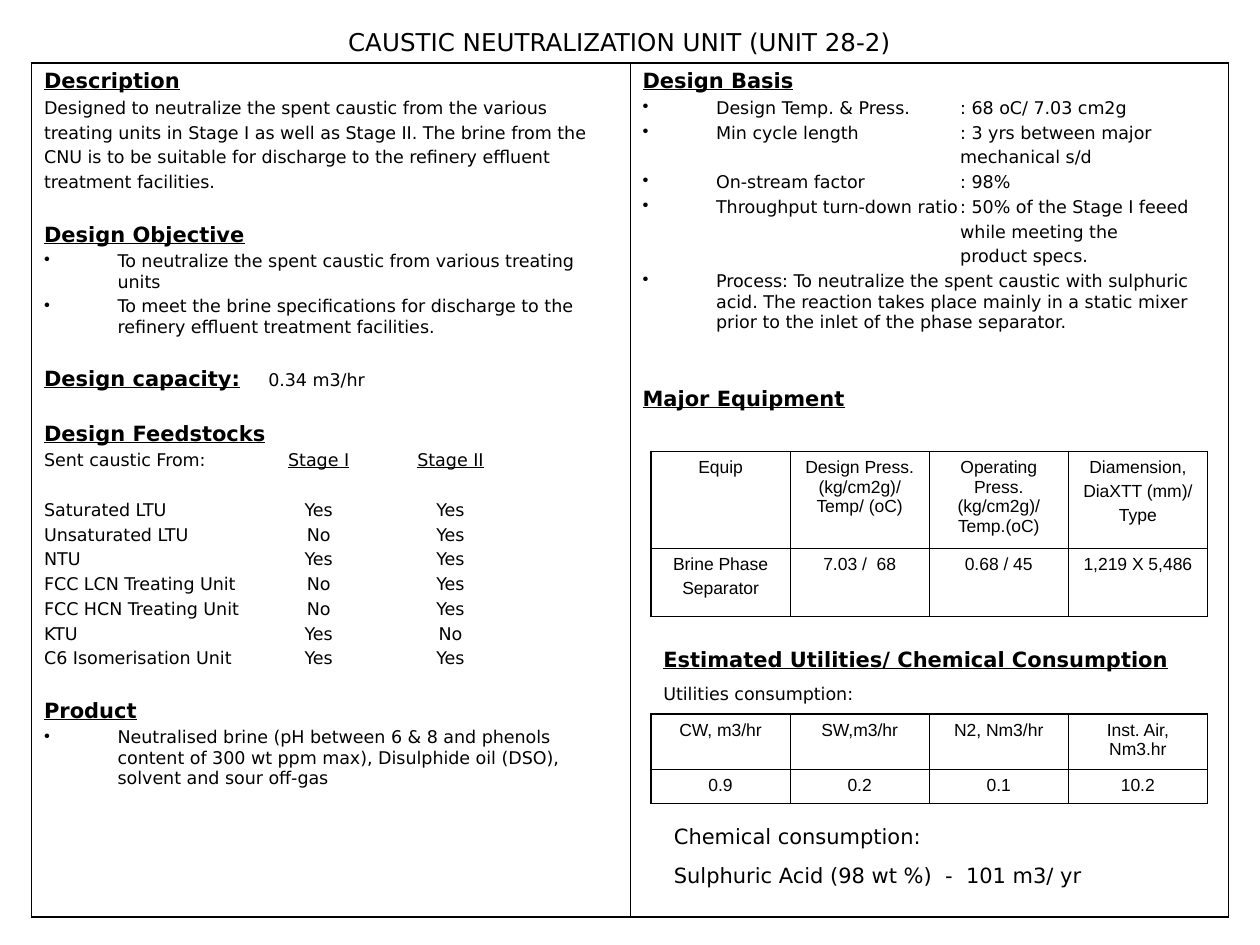
import pptx
import pptx.util
import pptx.dml.color
import pptx.enum.text
import pptx.oxml.ns
import lxml.etree

COLORS = {"ink": "000000"}
INK = pptx.dml.color.RGBColor.from_string(COLORS["ink"])
CENTER = pptx.enum.text.PP_ALIGN.CENTER
LEFT = pptx.enum.text.PP_ALIGN.LEFT

deck = pptx.Presentation()
deck.slide_width = pptx.util.Inches(10)
deck.slide_height = pptx.util.Inches(7.5)
slide = deck.slides.add_slide(deck.slide_layouts[6])
COL = deck.slide_width / 120
ROW = deck.slide_height / 90

PLAIN = {"size": pptx.util.Pt(10), "name": "DejaVu Sans", "bold": False, "underline": False}
HEADING = PLAIN | {"size": pptx.util.Pt(12), "bold": True, "underline": True}
UNDERLINED = PLAIN | {"underline": True}
TITLE = PLAIN | {"size": pptx.util.Pt(14)}
LARGE = PLAIN | {"size": pptx.util.Pt(12)}
GRID_TEXT = PLAIN | {"name": "Arial"}

BODY = {"before": 2.5}
SECTION = {"before": 17}
BULLET = {"before": 2.5, "bullet": True, "margin": 7, "indent": -7}
BASIS = {"before": 2.5, "bullet": True, "tabs": [(7, "l"), (30.25, "l")]}
BASIS_MORE = {"before": 2.5, "margin": 30.25}
FEED = {"before": 2.5, "tabs": [(26.15, "ctr"), (38.7, "ctr")]}


def write(frame, paragraphs, align=LEFT):
    frame.word_wrap = True
    for number, (layout, runs) in enumerate(paragraphs):
        paragraph = frame.paragraphs[0] if number == 0 else frame.add_paragraph()
        properties = paragraph._p.get_or_add_pPr()
        for key, attribute in {"margin": "marL", "indent": "indent"}.items():
            if key in layout:
                properties.set(attribute, str(round(layout[key] * COL)))
        if "bullet" in layout:
            lxml.etree.SubElement(properties, pptx.oxml.ns.qn("a:buChar"), char="•")
        if "tabs" in layout:
            stops = lxml.etree.SubElement(properties, pptx.oxml.ns.qn("a:tabLst"))
            for place, kind in layout["tabs"]:
                lxml.etree.SubElement(stops, pptx.oxml.ns.qn("a:tab"), pos=str(round(place * COL)), algn=kind)
        paragraph.alignment = align
        paragraph.space_before = pptx.util.Pt(layout["before"] if number else 0)
        for text, style in runs:
            run = paragraph.add_run()
            run.text = text
            for attribute, value in style.items():
                setattr(run.font, attribute, value)
            run.font.color.rgb = INK


def draw_table(left, top, width, heights, contents, align):
    rows, columns = len(contents), len(contents[0])
    grid = slide.shapes.add_table(rows, columns, round(left * COL), round(top * ROW),
                                  round(width * COL), round(sum(heights) * ROW)).table
    grid.first_row = grid.horz_banding = False
    for r, row in enumerate(contents):
        grid.rows[r].height = round(heights[r] * ROW)
        for c, paragraphs in enumerate(row):
            cell = grid.cell(r, c)
            write(cell.text_frame, paragraphs, align)
            cell.fill.background()
            outer = {"lnL": c == 0, "lnR": c == columns - 1, "lnT": r == 0, "lnB": r == rows - 1}
            for order, (side, is_outer) in enumerate(outer.items()):
                line = lxml.etree.Element(pptx.oxml.ns.qn("a:" + side),
                                          w=str(pptx.util.Pt(1.08 if is_outer else 0.45)))
                fill = lxml.etree.SubElement(line, pptx.oxml.ns.qn("a:solidFill"))
                lxml.etree.SubElement(fill, pptx.oxml.ns.qn("a:srgbClr"), val=COLORS["ink"])
                cell._tc.get_or_add_tcPr().insert(order, line)


feedstocks = [
    ("Saturated LTU", "Yes", "Yes"),
    ("Unsaturated LTU", "No", "Yes"),
    ("NTU", "Yes", "Yes"),
    ("FCC LCN Treating Unit", "No", "Yes"),
    ("FCC HCN Treating Unit", "No", "Yes"),
    ("KTU", "Yes", "No"),
    ("C6 Isomerisation Unit", "Yes", "Yes"),
]
overview = [
    (BODY, [("Description", HEADING)]),
    (BODY, [("Designed to neutralize the spent caustic from the various", PLAIN)]),
    (BODY, [("treating units in Stage I as well as Stage II. The brine from the", PLAIN)]),
    (BODY, [("CNU is to be suitable for discharge to the refinery effluent", PLAIN)]),
    (BODY, [("treatment facilities.", PLAIN)]),
    (SECTION, [("Design Objective", HEADING)]),
    (BULLET, [("To neutralize the spent caustic from various treating units", PLAIN)]),
    (BULLET, [("To meet the brine specifications for discharge to the refinery effluent "
               "treatment facilities.", PLAIN)]),
    (SECTION | {"tabs": [(21.35, "l")]}, [("Design capacity:", HEADING), ("\t0.34 m3/hr", PLAIN)]),
    (SECTION, [("Design Feedstocks", HEADING)]),
    (FEED, [("Sent caustic From:\t", PLAIN), ("Stage I", UNDERLINED), ("\t", PLAIN), ("Stage II", UNDERLINED)]),
]
for number, feed in enumerate(feedstocks):
    overview.append((FEED | {"before": 2.5 if number else 16.6}, [("\t".join(feed), PLAIN)]))
overview += [
    (SECTION, [("Product", HEADING)]),
    (BULLET, [("Neutralised brine (pH between 6 & 8 and phenols content of 300 wt ppm max), "
               "Disulphide oil (DSO), solvent and sour off-gas", PLAIN)]),
]
design_basis = [
    (BODY, [("Design Basis", HEADING)]),
    (BASIS, [("\tDesign Temp. & Press.\t: 68 oC/ 7.03 cm2g", PLAIN)]),
    (BASIS, [("\tMin cycle length\t: 3 yrs between major", PLAIN)]),
    (BASIS_MORE, [("mechanical s/d", PLAIN)]),
    (BASIS, [("\tOn-stream factor\t: 98%", PLAIN)]),
    (BASIS, [("\tThroughput turn-down ratio\t: 50% of the Stage I feeed", PLAIN)]),
    (BASIS_MORE, [("while meeting the", PLAIN)]),
    (BASIS_MORE, [("product specs.", PLAIN)]),
    (BULLET, [("Process: To neutralize the spent caustic with sulphuric acid. The reaction takes place "
               "mainly in a static mixer prior to the inlet of the phase separator.", PLAIN)]),
    ({"before": 31.2}, [("Major Equipment", HEADING)]),
]
equipment = [
    [["Equip"], ["Design Press.(kg/cm2g)/ Temp/ (oC)"], ["Operating Press. (kg/cm2g)/ Temp.(oC)"],
     ["Diamension,", "DiaXTT (mm)/", "Type"]],
    [["Brine Phase", "Separator"], ["7.03 /  68"], ["0.68 / 45"], ["1,219 X 5,486"]],
]
utilities = [
    [["CW, m3/hr"], ["SW,m3/hr"], ["N2, Nm3/hr"], ["Inst. Air, Nm3.hr"]],
    [["0.9"], ["0.2"], ["0.1"], ["10.2"]],
]

draw_table(3, 6, 114, [81.36], [[overview, design_basis]], LEFT)
for top, heights, values in [(43, [9.24, 6.48], equipment), (68, [5.28, 3.24], utilities)]:
    contents = [[[(BODY, [(text, GRID_TEXT)]) for text in lines] for lines in row] for row in values]
    draw_table(62, top, 53, heights, contents, CENTER)

captions = [
    (4, 2, 110, 16.8, CENTER, [(BODY, [("CAUSTIC NEUTRALIZATION UNIT (UNIT 28-2)", TITLE)])]),
    (62, 61, 54, 9.72, LEFT, [
        (BODY, [("Estimated Utilities/ Chemical Consumption", HEADING)]),
        ({"before": 6.2}, [("Utilities consumption:", PLAIN)])]),
    (63, 77.88, 51, 7.32, LEFT, [
        (BODY, [("Chemical consumption:", LARGE)]),
        ({"before": 7.5}, [("Sulphuric Acid (98 wt %)  -  101 m3/ yr", LARGE)])]),
]
for left, top, width, height, align, paragraphs in captions:
    caption = slide.shapes.add_textbox(round(left * COL), round(top * ROW), round(width * COL), round(height * ROW))
    write(caption.text_frame, paragraphs, align)

deck.save("out.pptx")
